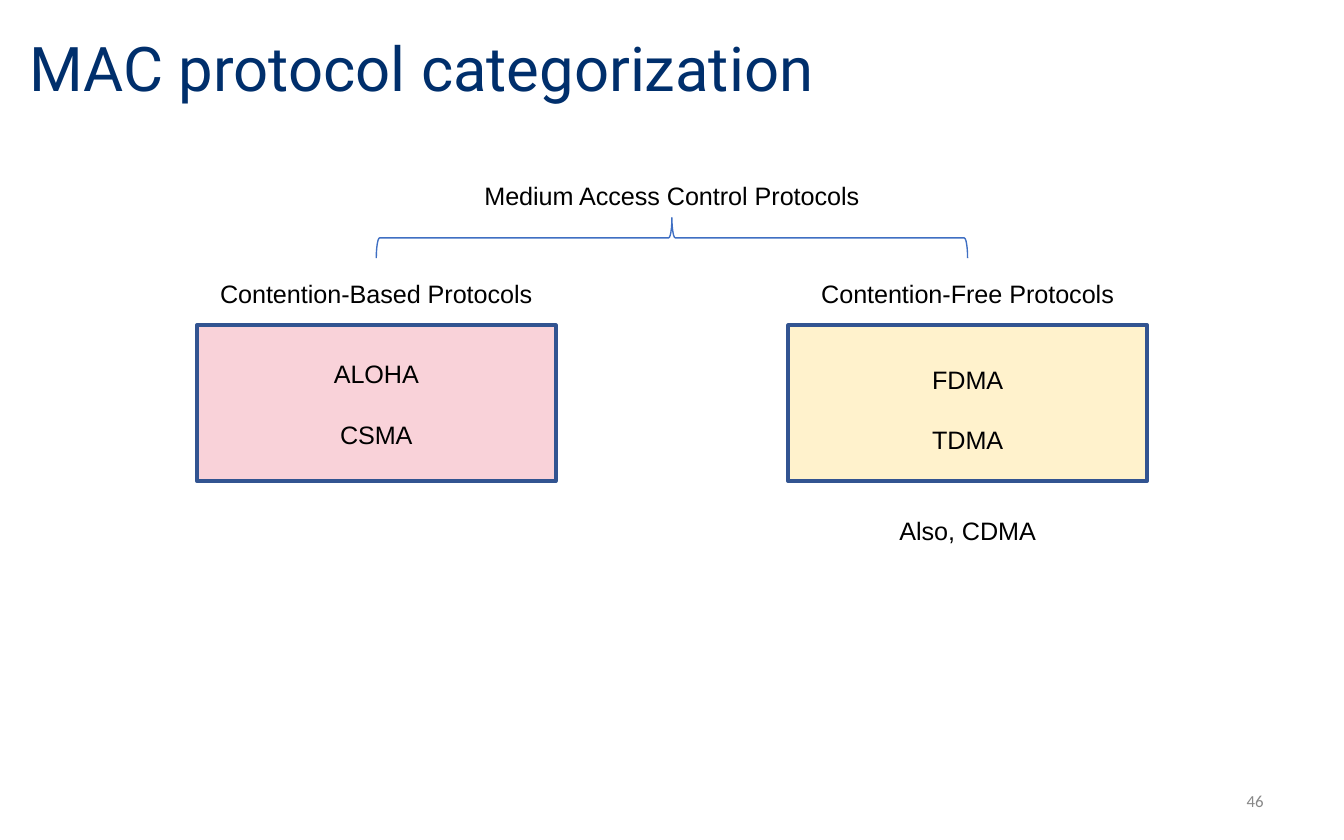
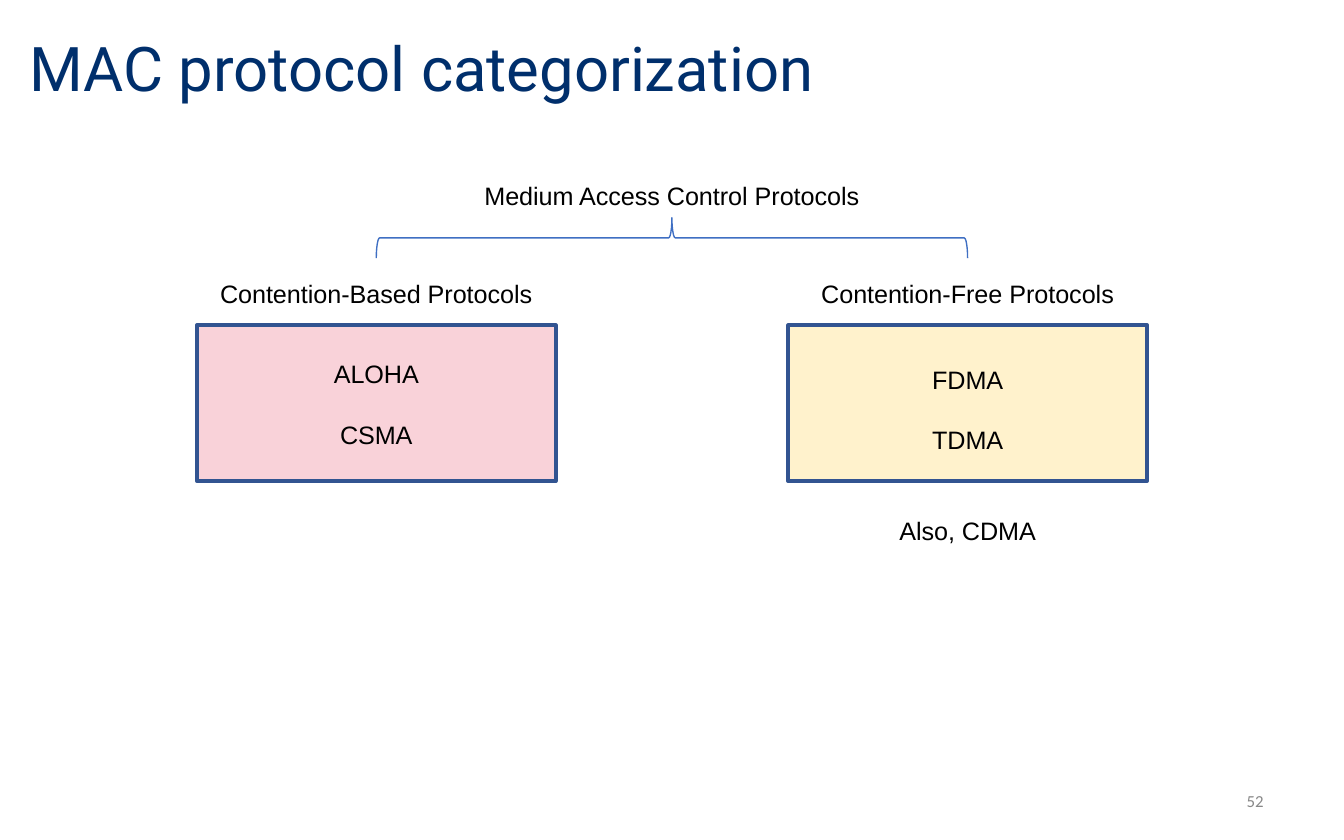
import pptx
import pptx.util
import pptx.dml.color
import pptx.enum.shapes
import pptx.enum.text

Inches, Pt = pptx.util.Inches, pptx.util.Pt
SHAPE = pptx.enum.shapes.MSO_SHAPE
ALIGN = pptx.enum.text.PP_ALIGN
MIDDLE = pptx.enum.text.MSO_ANCHOR.MIDDLE

# Shared look
NAVY, BLACK, GREY = "002F6C", "000000", "888888"
BOX_EDGE, BRACE_BLUE = "325491", "3F6FC3"
LABEL_WIDTH, LABEL_HEIGHT = 3.23, 0.33
BOX_TOP, BOX_WIDTH, BOX_HEIGHT = 2.42, 2.67, 1.16
LINE_GAP = 16.2  # one text line, in points

# Each family: heading, centre, fill, top and height of its list,
# and its members with the lines skipped before each
families = [
    ("Contention-Based Protocols", 2.8, "F9D2D9", 2.62, 0.78,
     [("ALOHA", 0), ("CSMA", 1)]),
    ("Contention-Free Protocols", 7.2, "FFF2CC", 2.66, 1.46,
     [("FDMA", 0), ("TDMA", 1), ("Also, CDMA", 2)]),
]


def rgb(hex_color):
    return pptx.dml.color.RGBColor.from_string(hex_color)


def add_text(slide, left, top, width, height, lines, size=13.5, font="Arial",
             color=BLACK, align=ALIGN.CENTER):
    box = slide.shapes.add_textbox(Inches(left), Inches(top), Inches(width), Inches(height))
    frame = box.text_frame
    frame.word_wrap = True
    frame.text = "\n".join(text for text, skipped in lines)
    for paragraph, (text, skipped) in zip(frame.paragraphs, lines):
        paragraph.alignment = align
        if skipped:
            paragraph.space_before = Pt(skipped * LINE_GAP)
        for run in paragraph.runs:
            run.font.size, run.font.name = Pt(size), font
            run.font.color.rgb = rgb(color)
    return frame


deck = pptx.Presentation()
deck.slide_width, deck.slide_height = Inches(10), Inches(6.25)
title_only = deck.slide_layouts[5]

for page_number in (46, 52):
    slide = deck.slides.add_slide(title_only)

    # Title
    title = slide.shapes.title
    title.left, title.top = Inches(0.12), Inches(0.1)
    title.width, title.height = Inches(8.52), Inches(0.86)
    title.text_frame.text = "MAC protocol categorization"
    title.text_frame.vertical_anchor = MIDDLE
    heading = title.text_frame.paragraphs[0]
    heading.alignment, heading.line_spacing = ALIGN.LEFT, 0.9
    heading_font = heading.runs[0].font
    heading_font.size, heading_font.name = Pt(33), "Roboto"
    heading_font.color.rgb = rgb(NAVY)

    # Page number
    footer = add_text(slide, 8, 5.79, 1.5, 0.33, [(str(page_number), 0)],
                      9, "Calibri", GREY, ALIGN.RIGHT)
    footer.vertical_anchor = MIDDLE

    # Root of the tree and the brace that splits it
    add_text(slide, 5 - LABEL_WIDTH / 2, 1.29, LABEL_WIDTH, LABEL_HEIGHT,
             [("Medium Access Control Protocols", 0)])
    brace = slide.shapes.add_shape(SHAPE.RIGHT_BRACE, Inches(4.85), Inches(-0.43),
                                   Inches(0.3), Inches(4.4))
    brace.rotation = 270
    brace.shadow.inherit = False
    brace.fill.background()
    brace.line.color.rgb = rgb(BRACE_BLUE)
    brace.line.width = Pt(0.75)

    # The two protocol families
    for name, centre, fill, list_top, list_height, members in families:
        box_left = centre - BOX_WIDTH / 2
        family_box = slide.shapes.add_shape(SHAPE.RECTANGLE, Inches(box_left), Inches(BOX_TOP),
                                            Inches(BOX_WIDTH), Inches(BOX_HEIGHT))
        family_box.shadow.inherit = False
        family_box.fill.solid()
        family_box.fill.fore_color.rgb = rgb(fill)
        family_box.line.color.rgb = rgb(BOX_EDGE)
        family_box.line.width = Pt(2)
        add_text(slide, centre - LABEL_WIDTH / 2, 2.02, LABEL_WIDTH, LABEL_HEIGHT, [(name, 0)])
        add_text(slide, box_left, list_top, BOX_WIDTH, list_height, members)

deck.save("out.pptx")
